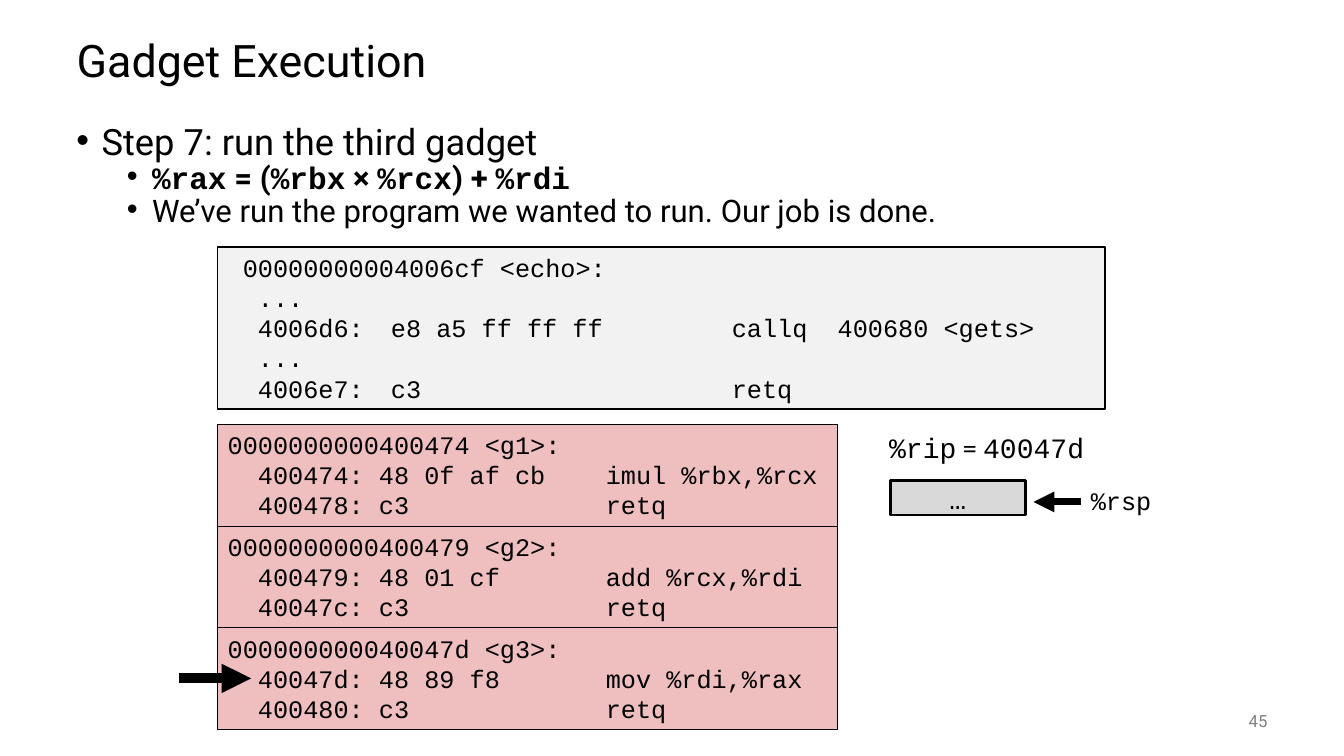
from lxml.etree import SubElement
from pptx import Presentation
from pptx.dml.color import RGBColor
from pptx.enum.shapes import MSO_CONNECTOR, MSO_SHAPE
from pptx.enum.text import MSO_ANCHOR as Anchor, PP_ALIGN as Align
from pptx.oxml.ns import qn
from pptx.util import Emu, Pt

PX = 9144  # 100 px to the inch
COLORS = {
    "ink": "000000", "muted": "808080", "echo": "F2F2F2",
    "gadget": "EFBFBF", "stack": "D9D9D9",
}
SANS, MONO = "Roboto", "Courier New"

GADGETS = [
    ["0000000000400474 <g1>:",
     "  400474: 48 0f af cb    imul %rbx,%rcx",
     "  400478: c3             retq"],
    ["0000000000400479 <g2>:",
     "  400479: 48 01 cf       add %rcx,%rdi",
     "  40047c: c3             retq"],
    ["000000000040047d <g3>:",
     "  40047d: 48 89 f8       mov %rdi,%rax",
     "  400480: c3             retq"],
]
ECHO = [
    " 00000000004006cf <echo>:",
    "  ...",
    "  4006d6:\te8 a5 ff ff ff\tcallq  400680 <gets>",
    "  ...",
    "  4006e7:\tc3\tretq",
]
ECHO_TABS = (162, 500)
FORMULA = [("%rax", MONO), (" = (", SANS), ("%rbx", MONO), (" × ", SANS),
           ("%rcx", MONO), (") + ", SANS), ("%rdi", MONO)]


def px(*lengths):
    return [Emu(length * PX) for length in lengths]


def color(name):
    return RGBColor.from_string(COLORS[name])


def add_run(paragraph, text, font, size, ink="ink", bold=False):
    run = paragraph.add_run()
    run.text = text
    run.font.name, run.font.size, run.font.bold = font, Pt(size), bold
    run.font.color.rgb = color(ink)


def paragraphs(frame, count):
    """Return the frame's first paragraph followed by new ones."""
    return [frame.paragraphs[0]] + [frame.add_paragraph() for _ in range(count - 1)]


def add_label(slide, box, runs, size, ink="ink", align=Align.LEFT,
              anchor=Anchor.TOP, wrap=True):
    frame = slide.shapes.add_textbox(*px(*box)).text_frame
    frame.word_wrap, frame.vertical_anchor = wrap, anchor
    frame.paragraphs[0].alignment = align
    for text, font in runs:
        add_run(frame.paragraphs[0], text, font, size, ink)


def add_panel(slide, box, fill, line_width, anchor=Anchor.TOP):
    panel = slide.shapes.add_shape(MSO_SHAPE.RECTANGLE, *px(*box))
    panel.shadow.inherit = False
    panel.fill.solid()
    panel.fill.fore_color.rgb = color(fill)
    panel.line.color.rgb = color("ink")
    panel.line.width = Pt(line_width)
    panel.text_frame.word_wrap = True
    panel.text_frame.vertical_anchor = anchor
    return panel.text_frame


def add_arrow(slide, start_x, end_x, y, width):
    arrow = slide.shapes.add_connector(
        MSO_CONNECTOR.STRAIGHT, *px(start_x, y, end_x, y))
    arrow.line.color.rgb = color("ink")
    arrow.line.width = Pt(width)
    SubElement(arrow.line._get_or_add_ln(), qn("a:tailEnd"), type="triangle")
    SubElement(arrow._element.spPr, qn("a:effectLst"))


def add_title(slide, box):
    title = slide.shapes.title
    title.left, title.top, title.width, title.height = px(*box)
    title.text_frame.vertical_anchor = Anchor.MIDDLE
    heading = title.text_frame.paragraphs[0]
    heading.alignment, heading.line_spacing = Align.LEFT, 0.9
    add_run(heading, "Gadget Execution", SANS, 32)


def add_steps(slide, box):
    frame = slide.shapes.add_textbox(*px(*box)).text_frame
    frame.word_wrap = True
    steps = [
        (0, 25, 25.9, False, [("Step 7: run the third gadget", SANS)]),
        (1, 75, 22.2, True, FORMULA),
        (1, 75, 22.2, False,
         [("We’ve run the program we wanted to run. Our job is done.", SANS)]),
    ]
    for step, (level, indent, size, bold, runs) in zip(
            paragraphs(frame, len(steps)), steps):
        step.level, step.line_spacing = level, 0.7
        step.space_before = Pt(5 * level)
        props = step._p.get_or_add_pPr()
        props.set("marL", str(indent * PX))
        props.set("indent", str(-25 * PX))
        SubElement(props, qn("a:buFont"), typeface="Arial")
        SubElement(props, qn("a:buChar"), char="•")
        for text, font in runs:
            add_run(step, text, font, size, bold=bold)


def add_code(slide, box, lines, fill, line_width, tabs=()):
    frame = add_panel(slide, box, fill, line_width)
    for row, line in zip(paragraphs(frame, len(lines)), lines):
        row.alignment = Align.LEFT
        if tabs:
            stops = SubElement(row._p.get_or_add_pPr(), qn("a:tabLst"))
            for stop in tabs:
                SubElement(stops, qn("a:tab"), pos=str(stop * PX), algn="l")
        add_run(row, line, MONO, 18)


def add_gadgets(slide, box):
    left, top, width, height = box
    step = height // len(GADGETS)
    for index, lines in enumerate(GADGETS):
        add_code(slide, (left, top + index * step, width, step),
                 lines, "gadget", 0.75)
    current_y = top + 2 * step + step // 2
    add_arrow(slide, left - 38, left + 33, current_y, 7)


def add_registers(slide, box):
    left, top, width, _ = box
    add_label(slide, (left, top, 215, 44),
              [("%rip", MONO), (" = ", "Calibri"), ("40047d", MONO)], 20, wrap=False)
    stack_top = top + 55
    frame = add_panel(slide, (left + 11, stack_top, 134, 34), "stack", 2, Anchor.MIDDLE)
    frame.paragraphs[0].alignment = Align.CENTER
    add_run(frame.paragraphs[0], "…", MONO, 20)
    rsp_left = left + width - 102
    add_label(slide, (rsp_left, stack_top, 102, 40), [("%rsp", MONO)], 18)
    add_arrow(slide, rsp_left, rsp_left - 47, stack_top + 21, 5)


def main():
    deck = Presentation()
    deck.slide_width, deck.slide_height = px(1333, 750)
    slide = deck.slides.add_slide(deck.slide_layouts[5])
    add_title(slide, (66, 25, 1200, 75))
    add_steps(slide, (66, 125, 1200, 109))
    add_gadgets(slide, (216, 421, 615, 303))
    add_code(slide, (216, 245, 880, 161), ECHO, "echo", 1, ECHO_TABS)
    add_registers(slide, (872, 422, 302, 95))
    add_label(slide, (1167, 695, 100, 40), [("45", SANS)], 12, "muted",
              Align.RIGHT, Anchor.MIDDLE)
    deck.save("out.pptx")


if __name__ == "__main__":
    main()
